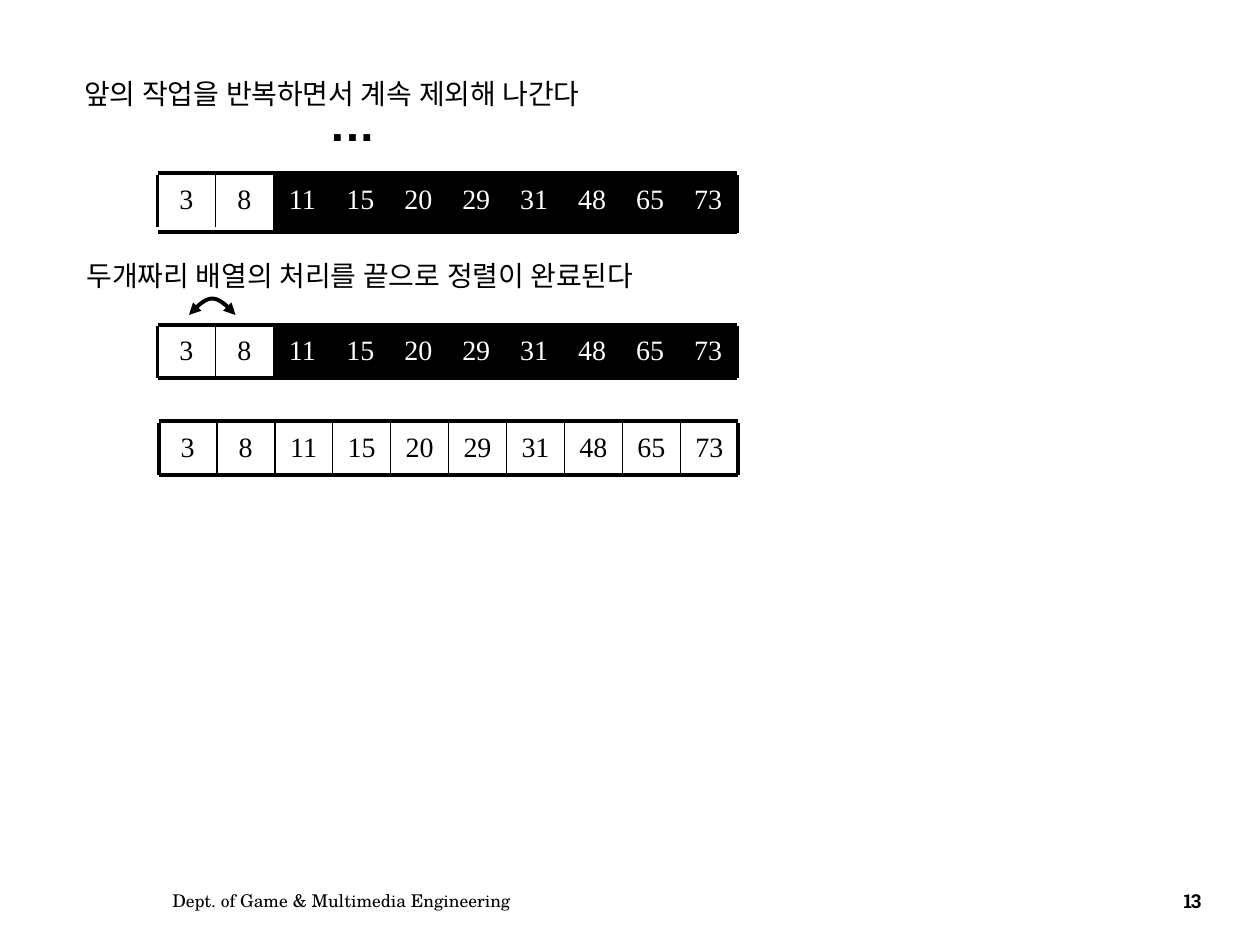
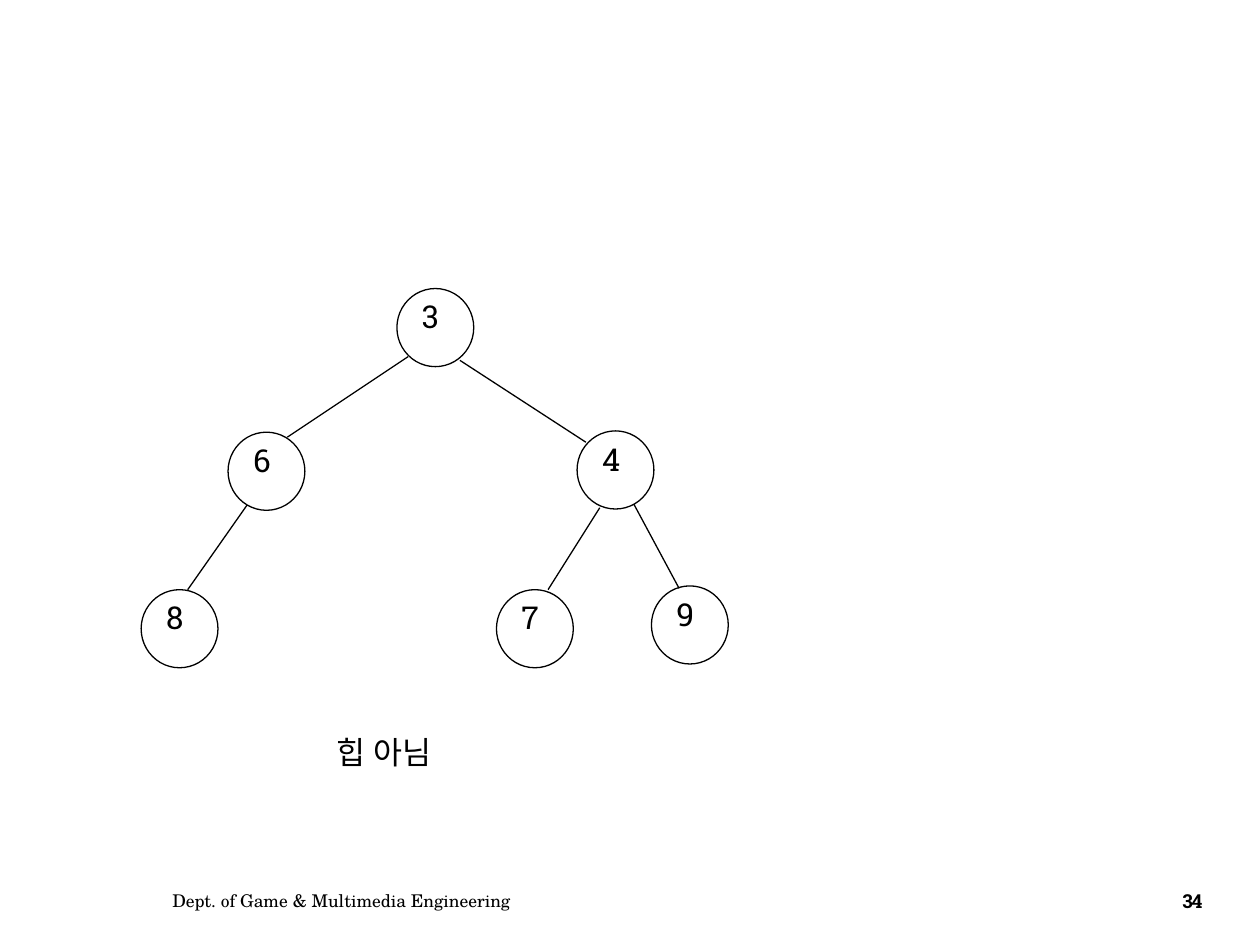
from dataclasses import dataclass

from lxml import etree
from pptx import Presentation
from pptx.dml.color import RGBColor
from pptx.enum.shapes import MSO_CONNECTOR, MSO_SHAPE
from pptx.enum.text import MSO_ANCHOR, PP_ALIGN
from pptx.oxml.ns import qn
from pptx.util import Inches, Pt

STRAIGHT = MSO_CONNECTOR.STRAIGHT
RECTANGLE = MSO_SHAPE.RECTANGLE
OVAL = MSO_SHAPE.OVAL
LEFT, CENTER = PP_ALIGN.LEFT, PP_ALIGN.CENTER
TOP, MIDDLE = MSO_ANCHOR.TOP, MSO_ANCHOR.MIDDLE


@dataclass(frozen=True)
class Theme:
    ink: RGBColor = RGBColor(0x00, 0x00, 0x00)
    paper: RGBColor = RGBColor(0xFF, 0xFF, 0xFF)
    body_font: str = "Roboto Slab"
    cell_font: str = "Times New Roman"
    footer_font: str = "TeX Gyre Schola"
    footer_size: float = 10
    page_size: float = 11
    text_size: float = 16
    node_size: float = 18
    ellipsis_size: float = 40
    frame_width: float = 2.25
    divider_width: float = 1
    tree_width: float = 0.75
    cell_pitch: float = 0.46
    cell_height: float = 0.41
    node_width: float = 0.61
    node_height: float = 0.62


class Deck:
    def __init__(self, theme):
        self.theme = theme
        self.presentation = Presentation()
        self.presentation.slide_width = Inches(10)
        self.presentation.slide_height = Inches(7.5)
        self.slide = None

    def start_slide(self, page_number):
        theme = self.theme
        self.slide = self.presentation.slides.add_slide(self.presentation.slide_layouts[6])
        self.text("Dept. of Game & Multimedia Engineering", (1.27, 6.95, 4.59, 0.4),
                  theme.footer_size, theme.footer_font, anchor=MIDDLE)
        run = self.text(str(page_number), (9.2, 6.95, 0.53, 0.4), theme.page_size,
                        align=CENTER, anchor=MIDDLE, bold=True)
        run.font._element.set("spc", "-70")

    def fill_text(self, shape, text, size, font_name, color, align=LEFT, anchor=TOP, bold=False):
        frame = shape.text_frame
        frame.word_wrap = True
        frame.vertical_anchor = anchor
        paragraph = frame.paragraphs[0]
        paragraph.alignment = align
        run = paragraph.add_run()
        run.text = text
        for name, value in {"name": font_name, "size": Pt(size), "bold": bold}.items():
            setattr(run.font, name, value)
        run.font.color.rgb = color
        etree.SubElement(run.font._element, qn("a:ea")).set("typeface", font_name)
        return run

    def text(self, text, box, size, font_name=None, **formats):
        shape = self.slide.shapes.add_textbox(*map(Inches, box))
        return self.fill_text(shape, text, size, font_name or self.theme.body_font,
                              self.theme.ink, **formats)

    def line(self, start, end, width):
        connector = self.slide.shapes.add_connector(STRAIGHT, *map(Inches, (*start, *end)))
        connector.line.color.rgb = self.theme.ink
        connector.line.width = Pt(width)
        etree.SubElement(connector._element.spPr, qn("a:effectLst"))

    def dark_cell(self, text, box):
        theme = self.theme
        shape = self.slide.shapes.add_shape(RECTANGLE, *map(Inches, box))
        shape.shadow.inherit = False
        shape.fill.solid()
        shape.fill.fore_color.rgb = theme.ink
        shape.line.fill.background()
        self.fill_text(shape, text, theme.text_size, theme.cell_font, theme.paper, align=CENTER)

    def array_row(self, values, left, top, rules, open_count, dark_height):
        theme = self.theme
        pitch = theme.cell_pitch
        heights = [theme.cell_height if index < open_count else dark_height
                   for index in range(len(values))]
        for index, (value, height) in enumerate(zip(values, heights)):
            box = (left + index * pitch, top, pitch, height)
            if index < open_count:
                self.text(str(value), box, theme.text_size, theme.cell_font, align=CENTER)
            else:
                self.dark_cell(str(value), box)
        right = left + len(values) * pitch
        for y in rules:
            self.line((left, y), (right, y), theme.frame_width)
        for index, height in enumerate(heights + heights[-1:]):
            x = left + index * pitch
            outer = index in (0, len(values))
            self.line((x, top), (x, top + height),
                      theme.frame_width if outer else theme.divider_width)

    def swap_arrow(self, left, top, width, height):
        steps = 12
        half = width / 2
        rise = []
        for step in range(steps + 1):
            t = step / steps
            x = half * t
            y = height * ((1 - t) ** 3 + 1.5 * t * (1 - t) ** 2)
            rise.append((Inches(left + x), Inches(top + y)))
        mirror = Inches(2 * left + width)
        points = rise + [(mirror - x, y) for x, y in reversed(rise[:-1])]
        builder = self.slide.shapes.build_freeform(*points[0])
        builder.add_line_segments(points[1:], close=False)
        shape = builder.convert_to_shape()
        shape.shadow.inherit = False
        shape.fill.background()
        shape.line.color.rgb = self.theme.ink
        shape.line.width = Pt(self.theme.frame_width)
        outline = shape.line._get_or_add_ln()
        for end in ("a:headEnd", "a:tailEnd"):
            etree.SubElement(outline, qn(end)).set("type", "triangle")

    def node(self, value, left, top):
        theme = self.theme
        shape = self.slide.shapes.add_shape(
            OVAL, *map(Inches, (left, top, theme.node_width, theme.node_height)))
        shape.shadow.inherit = False
        shape.fill.background()
        shape.line.color.rgb = theme.ink
        shape.line.width = Pt(theme.tree_width)
        self.text(str(value), (left + 0.1, top + 0.02, 0.42, 0.57), theme.node_size)


def build_sorting_slide(deck):
    theme = deck.theme
    numbers = [3, 8, 11, 15, 20, 29, 31, 48, 65, 73]
    deck.start_slide(13)
    deck.text("앞의 작업을 반복하면서 계속 제외해 나간다", (0.57, 0.56, 4.51, 0.37), theme.text_size)
    deck.text("…", (2.52, 0.52, 0.76, 0.77), theme.ellipsis_size)
    deck.array_row(numbers, 1.25, 1.39, (1.37, 1.84), 2, 0.46)
    deck.text("두개짜리 배열의 처리를 끝으로 정렬이 완료된다", (0.59, 2, 4.96, 0.37), theme.text_size)
    deck.swap_arrow(1.5, 2.37, 0.37, 0.13)
    deck.array_row(numbers, 1.25, 2.59, (2.58, 3), 2, theme.cell_height)
    deck.array_row(numbers, 1.26, 3.36, (3.34, 3.77), len(numbers), theme.cell_height)


def build_heap_slide(deck):
    theme = deck.theme
    nodes = [(3, 3.15, 2.29), (6, 1.81, 3.43), (4, 4.58, 3.42),
             (8, 1.12, 4.68), (9, 5.17, 4.65), (7, 3.94, 4.68)]
    branches = [((3.24, 2.83), (2.28, 3.47)), ((3.65, 2.86), (4.65, 3.51)),
                ((1.96, 4.01), (1.49, 4.68)), ((5.03, 4), (5.39, 4.67)),
                ((4.76, 4.03), (4.35, 4.68))]
    deck.start_slide(34)
    for value, left, top in nodes:
        deck.node(value, left, top)
    for start, end in branches:
        deck.line(start, end, theme.tree_width)
    deck.text("힙 아님", (2.57, 5.77, 1.48, 0.57), theme.node_size)


def main():
    deck = Deck(Theme())
    build_sorting_slide(deck)
    build_heap_slide(deck)
    deck.presentation.save("out.pptx")


if __name__ == "__main__":
    main()
